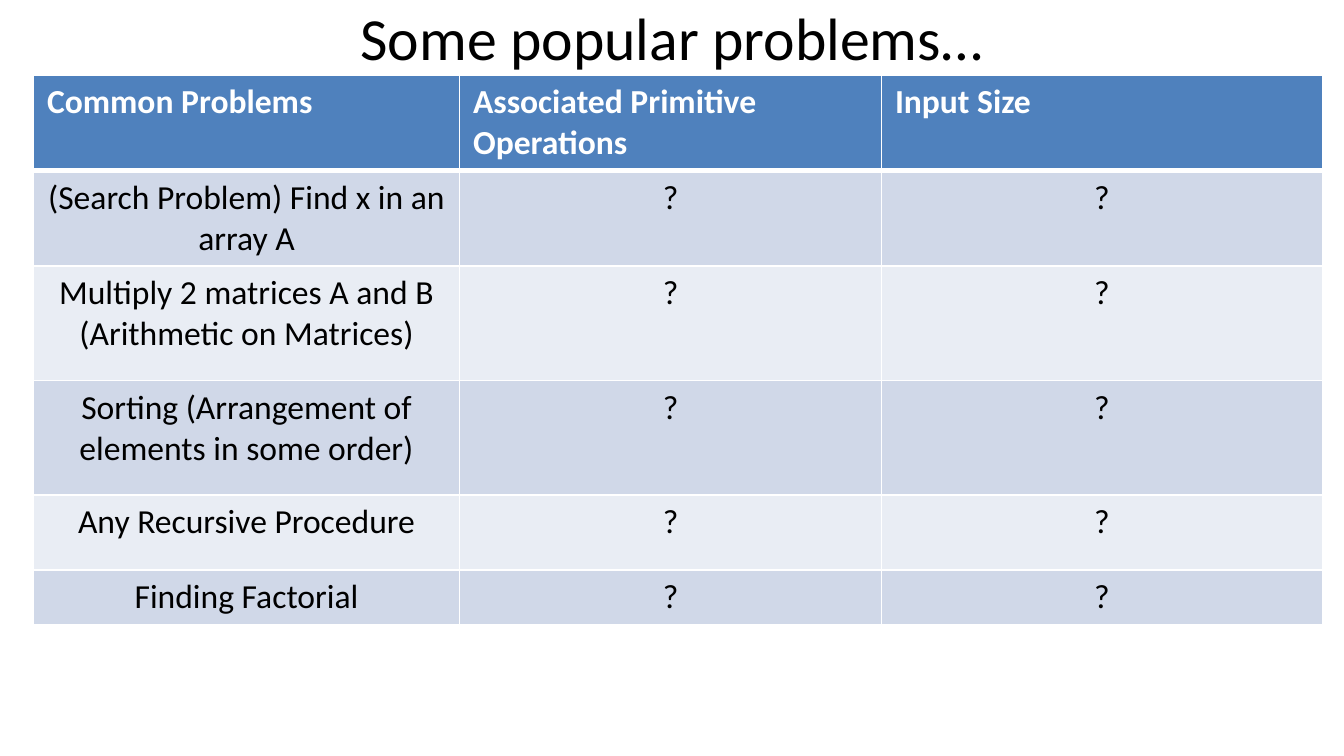
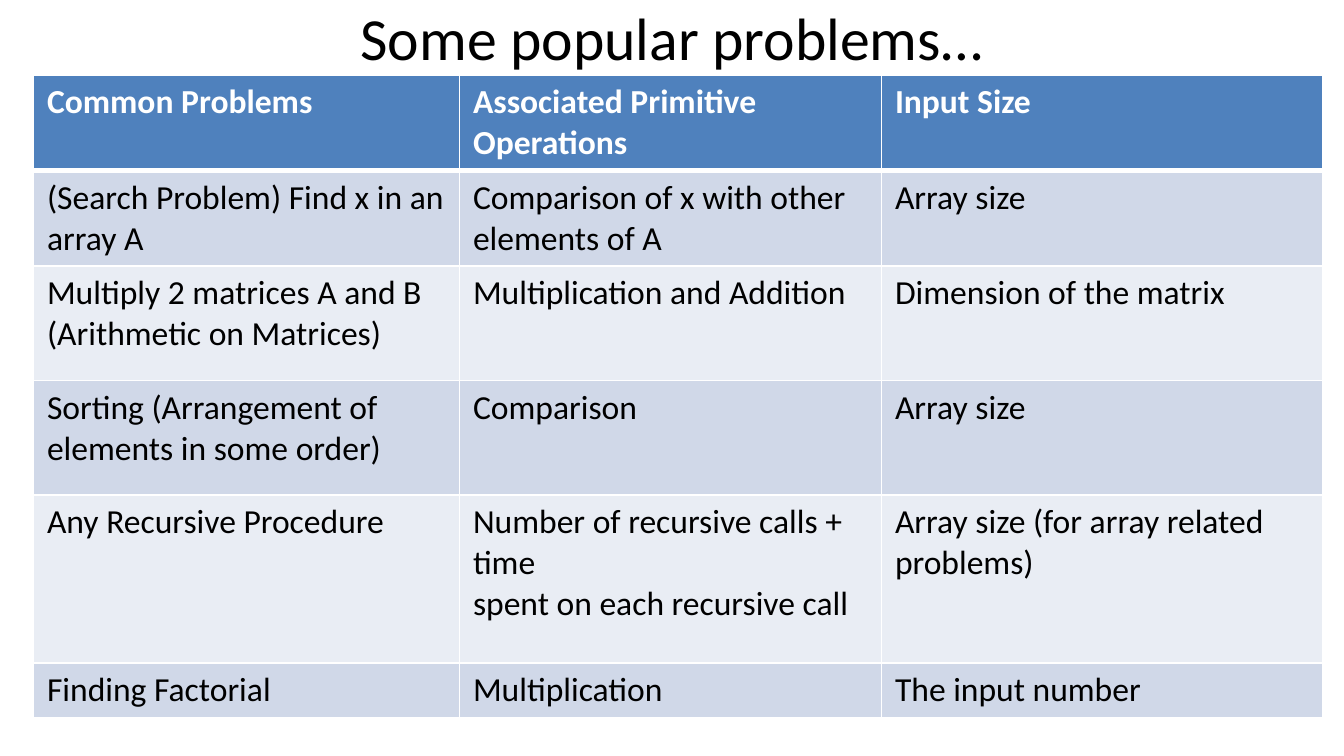
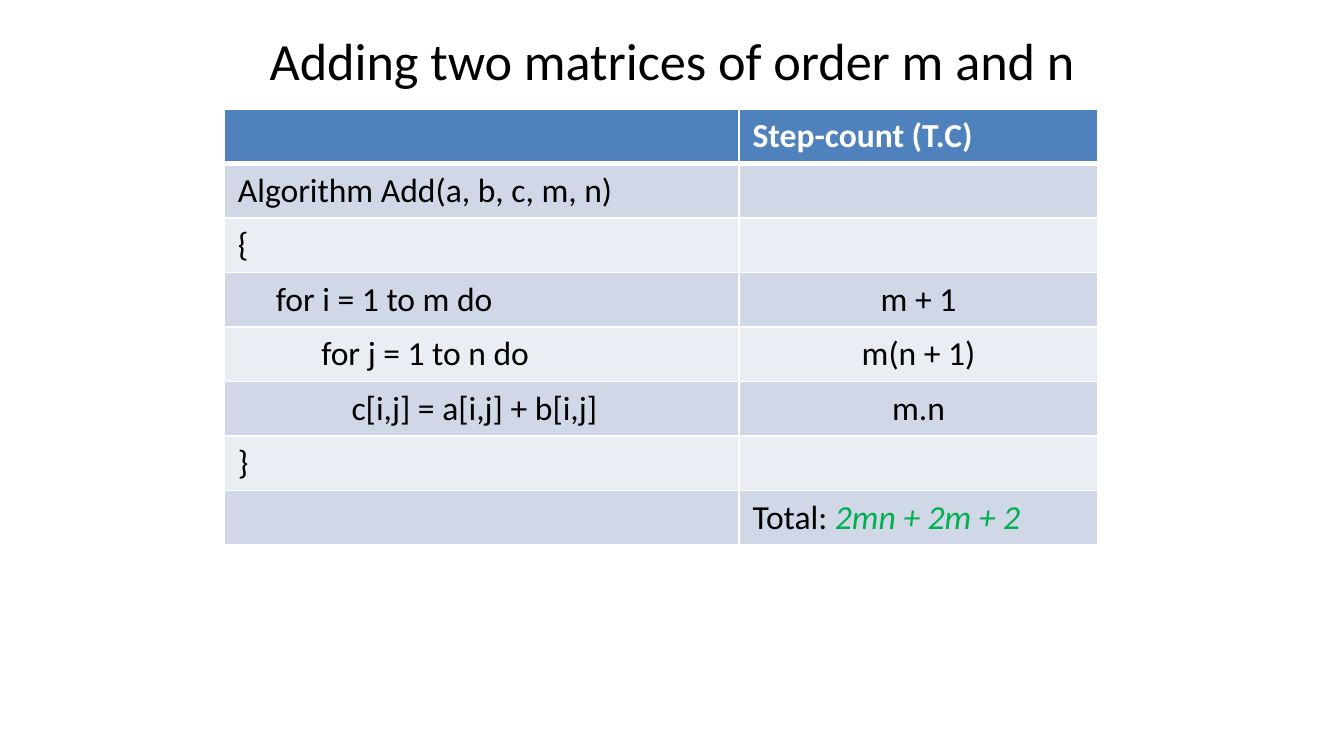
from dataclasses import dataclass

from lxml import etree
from pptx import Presentation
from pptx.dml.color import RGBColor
from pptx.enum import text
from pptx.oxml import ns
from pptx.util import Inches, Pt


# Shared look: colours, font and type sizes
@dataclass(frozen=True)
class Theme:
    font: str = "Calibri"
    ink: str = "000000"
    paper: str = "FFFFFF"
    header: str = "4F81BD"
    bands: tuple = ("D0D8E8", "E9EDF4")
    accent: str = "00B050"
    title_size: int = 32
    long_title_size: int = 28
    body_size: int = 18
    thin_rule: int = 1
    header_rule: int = 3


THEME = Theme()
LEFT, CENTER = text.PP_ALIGN.LEFT, text.PP_ALIGN.CENTER
TITLE_ONLY = 5

# Content shared by the two problem slides
PROBLEM_TITLE = "Some popular problems…"
PROBLEM_HEADER = ("Common Problems", "Associated Primitive\nOperations", "Input Size")
PROBLEMS = (
    "(Search Problem) Find x in an array A",
    "Multiply 2 matrices A and B\n(Arithmetic on Matrices)",
    "Sorting (Arrangement of elements in some order)",
    "Any Recursive Procedure",
    "Finding Factorial",
)
ANSWERS = (
    ("Comparison of x with other elements of A", "Array size"),
    ("Multiplication and Addition", "Dimension of the matrix"),
    ("Comparison", "Array size"),
    ("Number of recursive calls + time\nspent on each recursive call",
     "Array size (for array related\nproblems)"),
    ("Multiplication", "The input number"),
)

# Pseudocode lines with their step counts
ADD_STEPS = (
    ("Algorithm Add(a, b, c, m, n)", ""),
    ("{", ""),
    ("     for i = 1 to m do", "m + 1"),
    ("           for j = 1 to n do", "m(n + 1)"),
    ("               c[i,j] = a[i,j] + b[i,j]", "m.n"),
    ("}", ""),
    ("", "Total: "),
)


def add_span(para, words, size=THEME.body_size, color=THEME.ink, bold=False, italic=False):
    span = para.add_run()
    span.text = words
    font = span.font
    font.name, font.size = THEME.font, Pt(size)
    font.bold, font.italic = bold, italic
    font.color.rgb = RGBColor.from_string(color)


def write_text(frame, words, align=LEFT, **style):
    """Write one paragraph for each line of words."""
    for index, line in enumerate(words.split("\n")):
        para = frame.add_paragraph() if index else frame.paragraphs[0]
        para.alignment = align
        if line:
            add_span(para, line, **style)
        else:
            para.font.size = Pt(THEME.body_size)


def add_page(deck, title, top, size):
    page = deck.slides.add_slide(deck.slide_layouts[TITLE_ONLY])
    box = page.shapes.title
    box.left, box.top, box.width, box.height = (
        Inches(value) for value in (0.5, top, 9, 0.42))
    frame = box.text_frame
    frame.word_wrap = True
    frame.auto_size = text.MSO_AUTO_SIZE.NONE
    frame.vertical_anchor = text.MSO_ANCHOR.MIDDLE
    write_text(frame, title, align=CENTER, size=size)
    return page


def set_borders(cell, **widths):
    """Rule the four sides; call before the cell gets its fill."""
    properties = cell._tc.get_or_add_tcPr()
    for side in "LRTB":
        width = widths.get(side, THEME.thin_rule)
        line = etree.SubElement(properties, ns.qn(f"a:ln{side}"), w=str(Pt(width)))
        fill = etree.SubElement(line, ns.qn("a:solidFill"))
        etree.SubElement(fill, ns.qn("a:srgbClr"), val=THEME.paper)


def add_grid(page, left, top, columns, heights, rows, align_cell):
    """Add a banded table whose first row is the header."""
    table = page.shapes.add_table(
        len(rows), len(columns), Inches(left), Inches(top),
        Inches(sum(columns)), Inches(sum(heights))).table
    for column, width in zip(table.columns, columns):
        column.width = Inches(width)
    for r, (row, height) in enumerate(zip(rows, heights)):
        table.rows[r].height = Inches(height)
        for c, words in enumerate(row):
            cell = table.cell(r, c)
            if r == 0:
                set_borders(cell, B=THEME.header_rule)
                color, fill, align = THEME.paper, THEME.header, LEFT
            else:
                set_borders(cell, T=THEME.header_rule if r == 1 else THEME.thin_rule)
                color, fill = THEME.ink, THEME.bands[(r - 1) % 2]
                align = align_cell(c, words)
            cell.fill.solid()
            cell.fill.fore_color.rgb = RGBColor.from_string(fill)
            write_text(cell.text_frame, words, align=align, color=color, bold=r == 0)
    return table


def add_problem_page(deck, answers, recursive_height, align):
    page = add_page(deck, PROBLEM_TITLE, 0.06, THEME.title_size)
    rows = [PROBLEM_HEADER] + [(problem, *answer) for problem, answer in zip(PROBLEMS, answers)]
    heights = (0.69, 0.69, 0.85, 0.85, recursive_height, 0.41)
    add_grid(page, 0.25, 0.56, (3.17, 3.14, 3.28), heights, rows, lambda c, words: align)


def add_step_count_page(deck):
    page = add_page(deck, "Adding two matrices of order m and n", 0.23, THEME.long_title_size)
    rows = [("", "Step-count (T.C)"), *ADD_STEPS]
    heights = [3.24 / len(rows)] * len(rows)

    def align_cell(column, words):
        return CENTER if column == 1 and not words.startswith("Total") else LEFT

    table = add_grid(page, 1.67, 0.81, (3.83, 2.67), heights, rows, align_cell)
    total = table.cell(len(rows) - 1, 1).text_frame.paragraphs[0]
    add_span(total, "2mn + 2m + 2", color=THEME.accent, italic=True)


def main():
    deck = Presentation()
    deck.slide_width = Inches(10)
    deck.slide_height = deck.slide_width * 9 // 16
    add_problem_page(deck, [("?", "?")] * len(PROBLEMS), 0.56, CENTER)
    add_problem_page(deck, ANSWERS, 1.25, LEFT)
    add_step_count_page(deck)
    deck.save("out.pptx")


if __name__ == "__main__":
    main()
